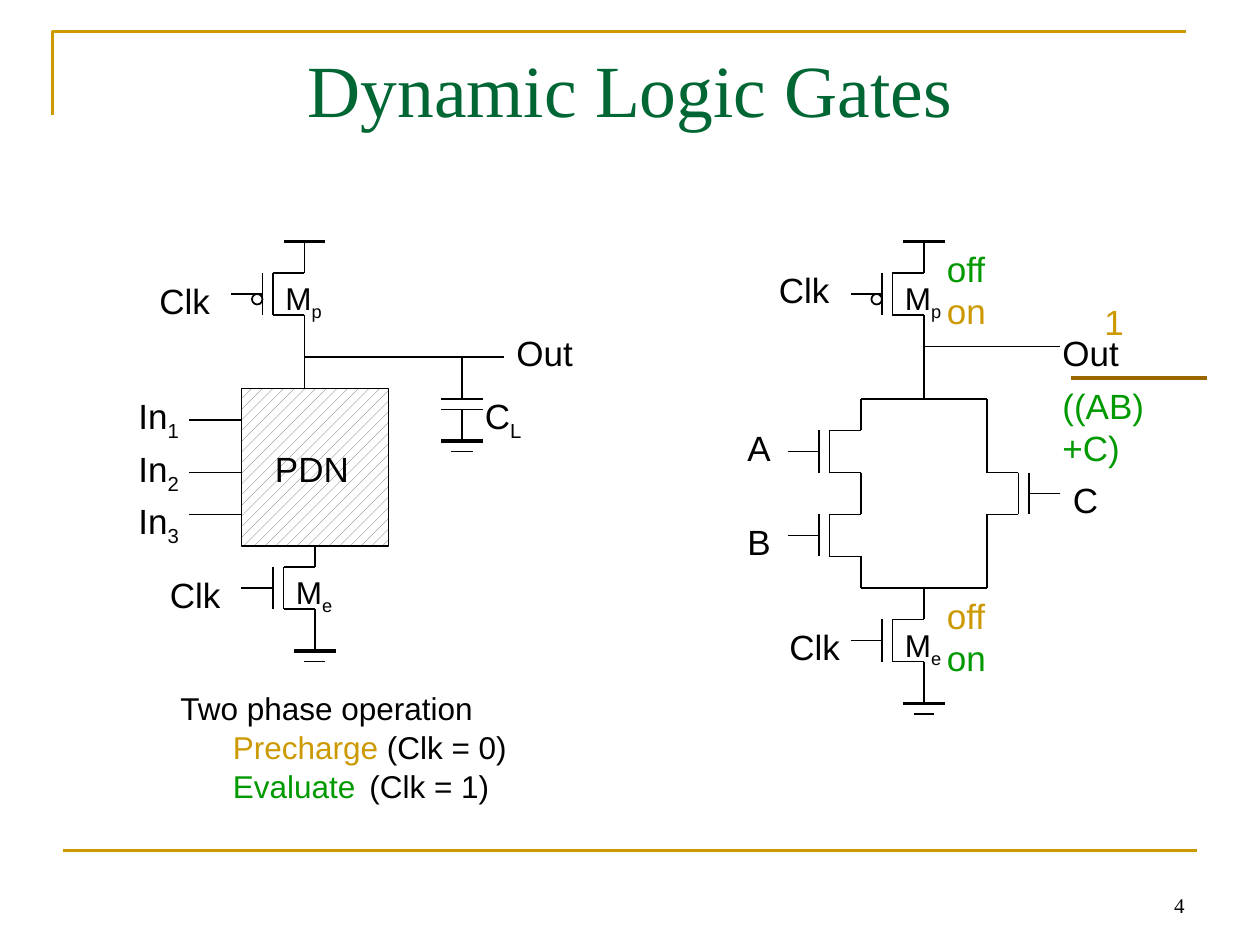
from typing import NamedTuple

from lxml.etree import SubElement
from pptx import Presentation
from pptx.dml.color import RGBColor
from pptx.enum.dml import MSO_PATTERN
from pptx.enum.shapes import MSO_CONNECTOR, MSO_SHAPE
from pptx.enum.text import MSO_ANCHOR, MSO_AUTO_SIZE, PP_ALIGN
from pptx.oxml.ns import qn
from pptx.util import Pt

PX = 7620
SANS, SERIF = "Arial", "Times New Roman"
HUES = {
    "ink": "000000",
    "paper": "FFFFFF",
    "hatch": "5F5F5F",
    "title": "006633",
    "gold": "CC9900",
    "green": "009900",
    "brown": "996600",
}


class Label(NamedTuple):
    x: int
    y: int
    wide: int
    text: str
    sub: str = ""
    size: int = 20
    hue: str = "ink"


class Gate(NamedTuple):
    x: int
    y: int
    side: int = 1
    bubble: bool = False


class Wire(NamedTuple):
    x1: int
    y1: int
    x2: int
    y2: int
    hue: str = "ink"
    thick: float = 1


class Phase(NamedTuple):
    name: str
    rest: str
    hue: str


GATES = [
    Gate(300, 540),
    Gate(290, 260, bubble=True),
    Gate(880, 260, bubble=True),
    Gate(820, 410),
    Gate(820, 490),
    Gate(940, 450, side=-1),
    Gate(880, 590),
]
RAILS = [(290, 230), (880, 230)]
GROUNDS = [(300, 620), (440, 420), (880, 670)]
WIRES = [
    Wire(60, 810, 1140, 810, "gold", 1.5),
    Wire(290, 320, 290, 370),
    *[Wire(180, y, 230, y) for y in (400, 450, 490)],
    Wire(290, 340, 480, 340),
    Wire(440, 340, 440, 380),
    *[Wire(420, y, 460, y) for y in (380, 390)],
    *[Wire(820, y, 940, y) for y in (380, 560)],
    Wire(940, 520, 940, 560),
    Wire(940, 380, 940, 420),
    Wire(880, 320, 880, 380),
    Wire(880, 330, 1010, 330),
    Wire(1020, 360, 1150, 360, "brown", 2.25),
]
LABELS = [
    Label(120, 370, 64, "In", "1"),
    Label(120, 420, 64, "In", "2"),
    Label(120, 470, 64, "In", "3"),
    Label(250, 420, 95, "PDN"),
    Label(270, 540, 60, "M", "e", 18),
    Label(260, 260, 60, "M", "p", 18),
    Label(150, 540, 72, "Clk"),
    Label(140, 260, 72, "Clk"),
    Label(480, 310, 78, "Out"),
    Label(450, 370, 60, "C", "L"),
    Label(1000, 310, 78, "Out"),
    Label(730, 250, 72, "Clk"),
    Label(740, 590, 72, "Clk"),
    Label(700, 400, 47, "A"),
    Label(700, 490, 47, "B"),
    Label(1010, 450, 48, "C"),
    Label(850, 260, 60, "M", "p", 18),
    Label(850, 590, 60, "M", "e", 18),
    Label(890, 270, 61, "on", hue="gold"),
    Label(890, 560, 61, "off", hue="gold"),
    Label(1040, 280, 43, "1", hue="gold"),
    Label(890, 230, 61, "off", hue="green"),
    Label(890, 600, 61, "on", hue="green"),
    Label(1000, 360, 156, "((AB)+C)", hue="green"),
]
PHASES = [
    Phase("Precharge", " (Clk = 0)", "gold"),
    Phase("Evaluate", "\t(Clk = 1)", "green"),
]


def tint(name: str) -> RGBColor:
    return RGBColor.from_string(HUES[name])


def style(para, size: int, hue: str = "ink", face: str = SANS) -> None:
    font = para.font
    font.size, font.name = Pt(size), face
    font.color.rgb = tint(hue)


def draw_wire(slide, wire: Wire) -> None:
    ends = [n * PX for n in wire[:4]]
    line = slide.shapes.add_connector(MSO_CONNECTOR.STRAIGHT, *ends)
    line.line.color.rgb = tint(wire.hue)
    line.line.width = Pt(wire.thick)
    SubElement(line._element.spPr, qn("a:effectLst"))


def draw_gate(slide, gate: Gate) -> None:
    x, y, side = gate.x, gate.y, gate.side
    body, plate, lead = (x - side * n for n in (30, 40, 70))
    for wire in (
        Wire(body, y, x, y),
        Wire(body, y, body, y + 40),
        Wire(body, y + 40, x, y + 40),
        Wire(plate, y, plate, y + 40),
        Wire(x, y + 40, x, y + 70),
        Wire(lead, y + 20, plate, y + 20),
        Wire(x, y - 30, x, y),
    ):
        draw_wire(slide, wire)
    if gate.bubble:
        ring = add_shape(slide, MSO_SHAPE.OVAL, x - 50, y + 20, 10, 10)
        ring.fill.background()


def draw_rail(slide, x: int, y: int) -> None:
    draw_wire(slide, Wire(x - 20, y, x + 20, y, thick=2.25))


def draw_ground(slide, x: int, y: int) -> None:
    draw_rail(slide, x, y)
    draw_wire(slide, Wire(x - 10, y + 10, x + 10, y + 10))
    draw_wire(slide, Wire(x, y - 30, x, y))


def add_shape(slide, kind: MSO_SHAPE, *box: int):
    shape = slide.shapes.add_shape(kind, *(n * PX for n in box))
    shape.shadow.inherit = False
    shape.line.color.rgb = tint("ink")
    shape.line.width = Pt(1)
    return shape


def add_text(slide, *box: int, wrap: bool = False):
    frame = slide.shapes.add_textbox(*(n * PX for n in box)).text_frame
    frame.word_wrap = wrap
    return frame


def draw_label(slide, label: Label) -> None:
    high = 52 if label.size == 20 else 48
    para = add_text(slide, label.x, label.y, label.wide, high).paragraphs[0]
    style(para, label.size, label.hue)
    para.add_run().text = label.text
    if label.sub:
        run = para.add_run()
        run.text = label.sub
        run._r.get_or_add_rPr().set("baseline", "-25000")


def draw_phases(slide) -> None:
    frame = add_text(slide, 160, 650, 443, 156)
    head = frame.paragraphs[0]
    head.add_run().text = "Two phase operation"
    style(head, 18)
    for phase in PHASES:
        para = frame.add_paragraph()
        para.space_before = Pt(0.7)
        props = para._p.get_or_add_pPr()
        props.set("marL", "0")
        props.set("indent", str(50 * PX))
        tabs = SubElement(props, qn("a:tabLst"))
        SubElement(tabs, qn("a:tab"), pos=str(200 * PX), algn="l")
        style(para, 18)
        name = para.add_run()
        name.text = phase.name
        name.font.color.rgb = tint(phase.hue)
        para.add_run().text = phase.rest


def draw_frame(slide) -> None:
    path = slide.shapes.build_freeform(50, 110, scale=PX)
    path.add_line_segments([(50, 30), (1130, 30)], close=False)
    edge = path.convert_to_shape()
    edge.shadow.inherit = False
    edge.fill.background()
    edge.line.color.rgb = tint("gold")
    edge.line.width = Pt(1.5)


def draw_title(slide) -> None:
    title = slide.shapes.title
    title.left, title.top, title.width, title.height = (
        n * PX for n in (60, 36, 1080, 150)
    )
    frame = title.text_frame
    frame.text = "Dynamic Logic Gates"
    frame.auto_size = MSO_AUTO_SIZE.NONE
    frame.vertical_anchor = MSO_ANCHOR.TOP
    para = frame.paragraphs[0]
    para.alignment = PP_ALIGN.CENTER
    style(para, 42, "title", SERIF)


def draw_block(slide) -> None:
    fill = add_shape(slide, MSO_SHAPE.RECTANGLE, 230, 370, 140, 150).fill
    fill.patterned()
    fill.pattern = MSO_PATTERN.PERCENT_20
    fill.fore_color.rgb = tint("hatch")
    fill.back_color.rgb = tint("paper")


def draw_number(slide) -> None:
    frame = add_text(slide, 860, 820, 280, 60, wrap=True)
    frame.vertical_anchor = MSO_ANCHOR.BOTTOM
    para = frame.paragraphs[0]
    para.alignment = PP_ALIGN.RIGHT
    para.add_run().text = "4"
    style(para, 12, face=SERIF)


def main() -> None:
    deck = Presentation()
    deck.slide_width, deck.slide_height = 1200 * PX, 900 * PX
    slide = deck.slides.add_slide(deck.slide_layouts[5])
    draw_frame(slide)
    draw_title(slide)
    for gate in GATES:
        draw_gate(slide, gate)
    draw_block(slide)
    for spot in RAILS:
        draw_rail(slide, *spot)
    for spot in GROUNDS:
        draw_ground(slide, *spot)
    for wire in WIRES:
        draw_wire(slide, wire)
    for label in LABELS:
        draw_label(slide, label)
    draw_phases(slide)
    draw_number(slide)
    deck.save("out.pptx")


if __name__ == "__main__":
    main()
